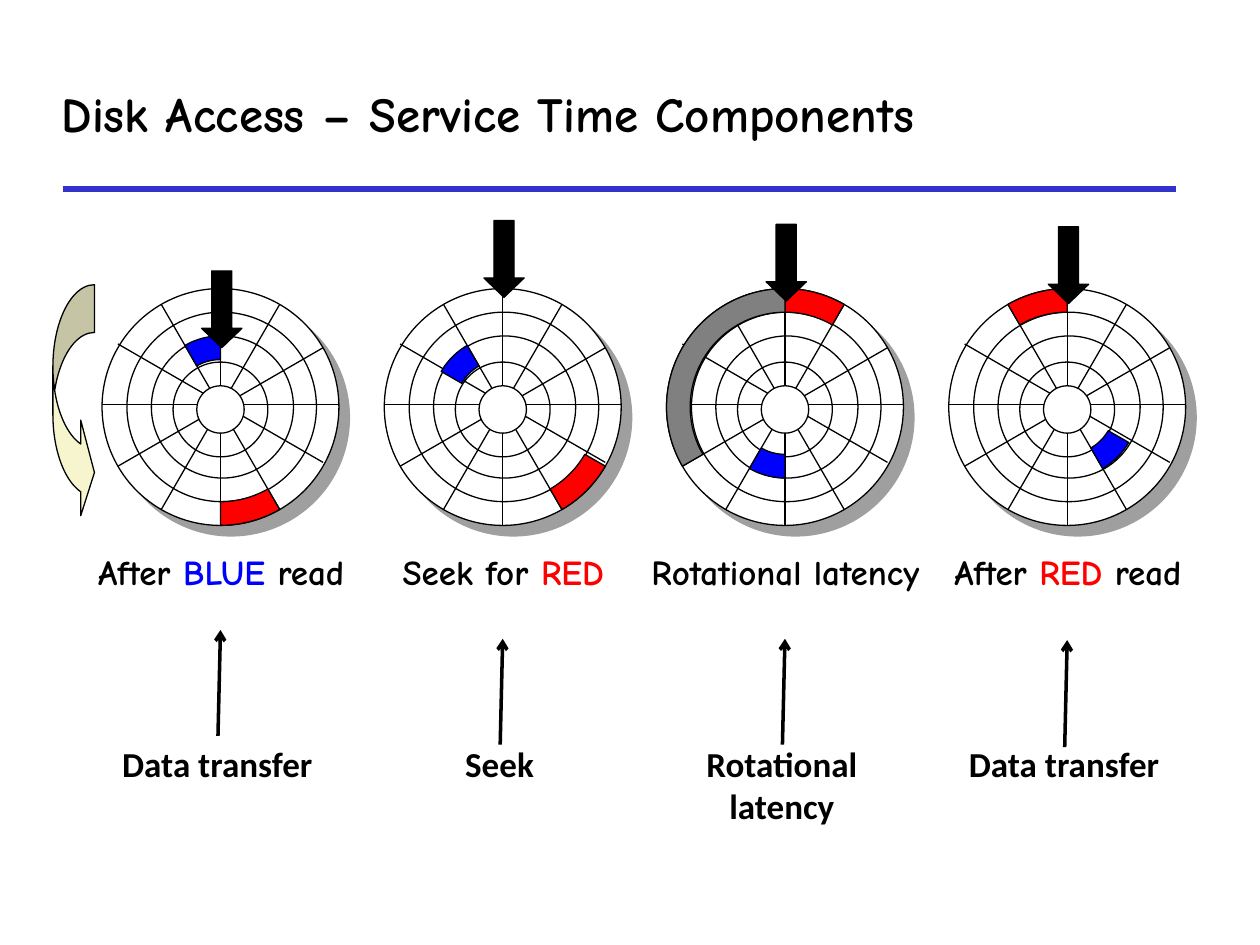
from math import cos, radians, sin

from lxml.etree import SubElement
from pptx import Presentation
from pptx.dml.color import RGBColor
from pptx.enum.shapes import MSO_CONNECTOR as Connector, MSO_SHAPE as Shape
from pptx.enum.text import MSO_ANCHOR as Anchor, PP_ALIGN as Align
from pptx.oxml.ns import qn
from pptx.util import Inches, Pt

COLORS = {"black": "000000", "white": "FFFFFF", "blue": "0000FF", "red": "FF0000",
          "gray": "808080", "cream": "F7F5CD", "rule": "3333CC"}
WIDTH, HEIGHT = 10, 7.5
COLUMN, FIRST_CENTER, DISK_CENTER, RADIUS = 2.24, 1.75, 3.23, 0.94
RINGS = [(1, 0, 0), (0.8, 0.01, 0), (0.6, 0.015, 0), (0.4, 0, 0.02), (0.2, 0, 0.02)]
SPOKES = [(0, 0), (30, 0), (60, 0), (90, -0.02), (120, -0.03), (150, 0)]

STEPS = [
    {"caption": [("After ", "black"), ("BLUE ", "blue"), ("read", "black")],
     "component": "Data transfer", "head": 2.15, "pointer": (5.84, 5),
     "sectors": [(0.4, 330, 360, "blue"), (0.8, 150, 180, "red")]},
    {"caption": [("Seek for ", "black"), ("RED", "red")],
     "component": "Seek", "head": 1.75, "pointer": (5.91, 5.07),
     "sectors": [(0.8, 120, 150, "red"), (0.4, 300, 330, "blue")]},
    {"caption": [("Rotational latency", "black")],
     "component": "Rotational\nlatency", "head": 1.78, "pointer": (5.91, 5.07),
     "sectors": [(0.8, 0, 30, "red"), (0.4, 180, 210, "blue"), (0.8, 240, 360, "gray")]},
    {"caption": [("After ", "black"), ("RED", "red"), (" read", "black")],
     "component": "Data transfer", "head": 1.8, "pointer": (5.93, 5.08),
     "sectors": [(0.8, 330, 360, "red"), (0.4, 120, 150, "blue")]},
]


def color(name):
    """Return the named colour."""
    return RGBColor.from_string(COLORS[name])


def paint(shape, fill):
    """Give a shape a flat fill and a thin black outline."""
    shape.shadow.inherit = False
    shape.fill.solid()
    shape.fill.fore_color.rgb = color(fill)
    shape.line.color.rgb = color("black")
    shape.line.width = Pt(0.75)
    return shape


def add_preset(shapes, kind, box, fill, adjustments=()):
    """Add a painted preset shape in the box."""
    shape = paint(shapes.add_shape(kind, *map(Inches, box)), fill)
    for index, value in enumerate(adjustments):
        shape.adjustments[index] = value
    return shape


def add_line(shapes, start, end, width=0.75, stroke="black", arrow=False):
    """Add a straight line, with an open arrowhead if asked."""
    line = shapes.add_connector(Connector.STRAIGHT, *map(Inches, (*start, *end)))
    line.line.color.rgb = color(stroke)
    line.line.width = Pt(width)
    if arrow:
        SubElement(line.line._get_or_add_ln(), qn("a:tailEnd"), type="arrow")
    SubElement(line._element.spPr, qn("a:effectLst"))


def add_text(slide, box, paragraphs, font, size, align=Align.CENTER, wrap=True,
             anchor=Anchor.TOP, before=0):
    """Add a bold text box from paragraphs of (text, colour) runs."""
    frame = slide.shapes.add_textbox(*map(Inches, box)).text_frame
    frame.word_wrap = wrap
    frame.vertical_anchor = anchor
    for index, runs in enumerate(paragraphs):
        paragraph = frame.add_paragraph() if index else frame.paragraphs[0]
        paragraph.alignment = align
        paragraph.space_before = Pt(before)
        for text, name in runs:
            run = paragraph.add_run()
            run.text = text
            run.font.name = font
            run.font.size = Pt(size)
            run.font.bold = True
            run.font.color.rgb = color(name)


def add_drop_shadow(shape):
    """Cast a hard gray shadow to the lower right."""
    effects = shape._element.spPr.find(qn("a:effectLst"))
    shadow = SubElement(effects, qn("a:outerShdw"), dist=str(Pt(8.5)), dir="2700000",
                        algn="ctr", rotWithShape="0")
    gray = SubElement(shadow, qn("a:srgbClr"), val=COLORS["gray"])
    SubElement(gray, qn("a:alpha"), val="75000")


def add_sector(shapes, center, radius, inner, start, end, fill):
    """Add one ring sector; angles run clockwise from the top."""
    def point(share, angle):
        reach, turn = radius * share, radians(angle)
        return Inches(center[0] + reach * sin(turn)), Inches(center[1] - reach * cos(turn))

    angles = range(start, end + 1, 3)
    points = [point(inner + 0.2, angle) for angle in angles]
    points += [point(inner, angle) for angle in reversed(angles)]
    builder = shapes.build_freeform(*points[0])
    builder.add_line_segments(points[1:])
    paint(builder.convert_to_shape(), fill)


def add_disk(slide, center, radius, step):
    """Draw rings, spokes, marked sectors and the read head of one disk."""
    shapes = slide.shapes.add_group_shape().shapes
    x, y = center

    def add_ring(share, right, down):
        reach = radius * share
        box = (x + right - reach, y + down - reach, 2 * reach, 2 * reach)
        return add_preset(shapes, Shape.OVAL, box, "white")

    rings = [add_ring(*ring) for ring in RINGS[:-1]]
    add_drop_shadow(rings[0])
    for angle, down in SPOKES:
        across, up = radius * sin(radians(angle)), radius * cos(radians(angle))
        add_line(shapes, (x + across, y + down - up), (x - across, y + down + up))
    add_ring(*RINGS[-1])
    for sector in step["sectors"]:
        add_sector(shapes, center, radius, *sector)
    add_preset(shapes, Shape.DOWN_ARROW, (x - 0.15, step["head"], 0.32, 0.61), "black",
               (0.5, 0.48))


def add_step(slide, center, step):
    """Place one column: disk, caption, pointer and component name."""
    add_disk(slide, (center, DISK_CENTER), RADIUS, step)
    add_text(slide, (center - 1.33, 4.32, 2.67, 0.44), [step["caption"]],
             "Comic Neue", 20, before=12.5)
    component = [[(line, "black")] for line in step["component"].split("\n")]
    add_text(slide, (center - 0.93, 5.84, 1.81, 0.44), component, "Calibri", 20, wrap=False)
    tail, tip = step["pointer"]
    add_line(slide.shapes, (center - 0.02, tail), (center, tip), 2, arrow=True)


def add_header(slide):
    """Place the title and the rule below it."""
    add_line(slide.shapes, (0.05 * WIDTH, 0.2 * HEIGHT), (9.33, 0.2 * HEIGHT), 3, "rule")
    add_text(slide, (0.39, 0.48, 8.85, 0.83),
             [[("Disk Access – Service Time Components", "black")]],
             "Comic Neue", 28, Align.LEFT, anchor=Anchor.MIDDLE)


def main():
    """Build and save the slide."""
    presentation = Presentation()
    presentation.slide_width, presentation.slide_height = Inches(WIDTH), Inches(HEIGHT)
    slide = presentation.slides.add_slide(presentation.slide_layouts[6])
    add_header(slide)
    for index, step in enumerate(STEPS):
        add_step(slide, FIRST_CENTER + index * COLUMN, step)
    add_preset(slide.shapes, Shape.CURVED_RIGHT_ARROW, (0.42, 2.26, 0.33, 1.87), "cream",
               (1.15, 2.3, 0.33))
    presentation.save("out.pptx")


main()
